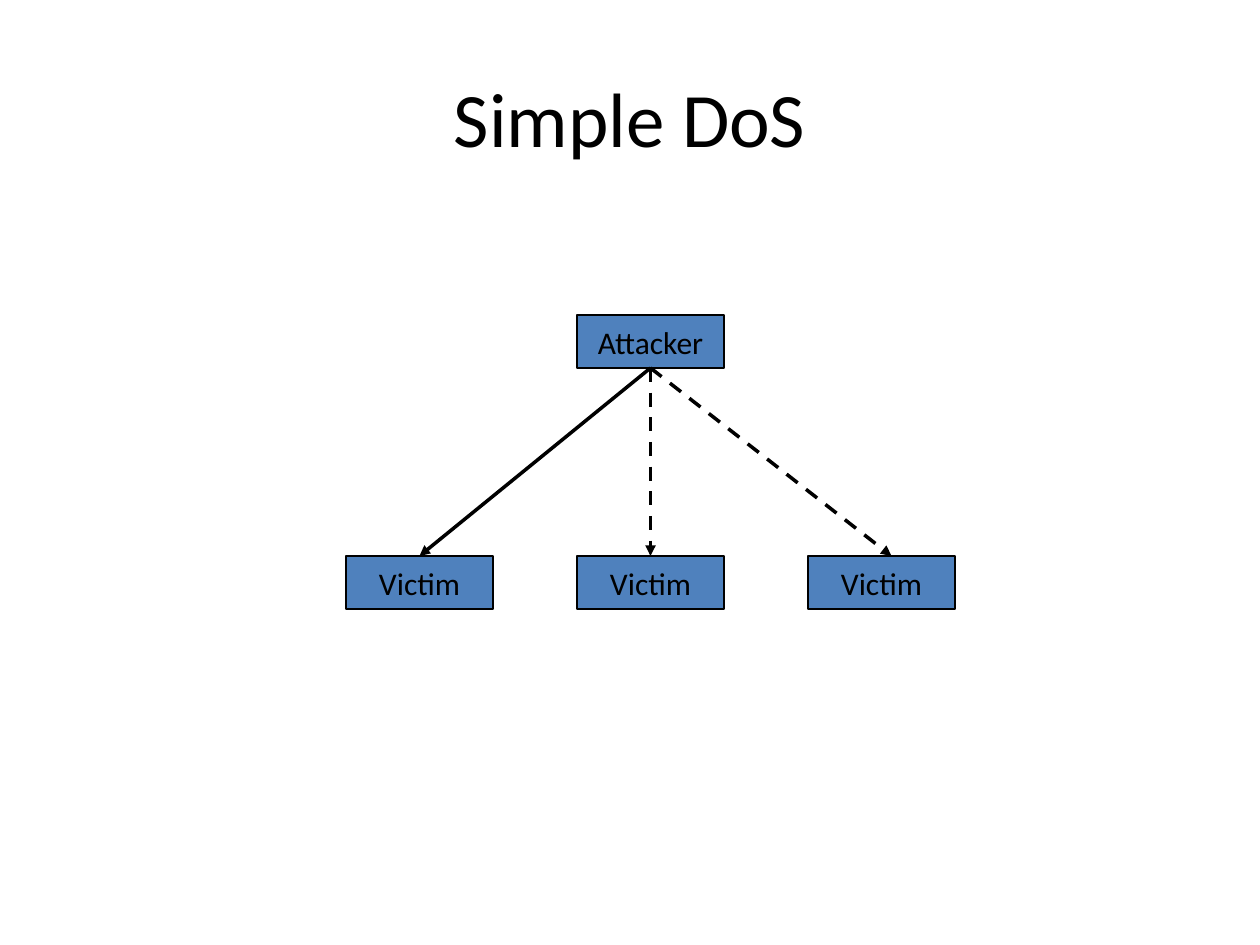
from dataclasses import dataclass

from pptx import Presentation
from pptx.dml.color import RGBColor
from pptx.enum.dml import MSO_LINE
from pptx.enum.shapes import MSO_CONNECTOR, MSO_SHAPE
from pptx.enum.text import MSO_ANCHOR, PP_ALIGN
from pptx.oxml.ns import qn
from pptx.shapes.autoshape import Shape
from pptx.slide import Slide
from pptx.util import Emu, Pt
from lxml import etree

PX_PER_INCH = 126
BLACK = RGBColor(0x00, 0x00, 0x00)
BLUE = RGBColor(0x4F, 0x81, 0xBD)
FONT = "Calibri"
CENTER = PP_ALIGN.CENTER
MIDDLE = MSO_ANCHOR.MIDDLE
RECTANGLE = MSO_SHAPE.RECTANGLE
STRAIGHT = MSO_CONNECTOR.STRAIGHT
DASH = MSO_LINE.DASH
TOP, BOTTOM = 0, 2

HOST_WIDTH, HOST_HEIGHT = 147, 53
ATTACKER_LEFT, ATTACKER_TOP = 577, 315
VICTIM_TOP, VICTIM_STEP = 556, 231


@dataclass(frozen=True)
class Attack:
    column: int
    dashed: bool
    end_shift: int = 0


ATTACKS = (
    Attack(-1, dashed=False),
    Attack(0, dashed=True),
    Attack(1, dashed=True, end_shift=10),
)


def px(length: int) -> Emu:
    return Emu(round(length * 914400 / PX_PER_INCH))


def write_text(shape: Shape, text: str, *, size: int, wrap: bool) -> None:
    frame = shape.text_frame
    frame.word_wrap = wrap
    frame.vertical_anchor = MIDDLE
    paragraph = frame.paragraphs[0]
    paragraph.alignment = CENTER
    run = paragraph.add_run()
    run.text = text
    run.font.name = FONT
    run.font.size = Pt(size)
    run.font.color.rgb = BLACK


def add_host(slide: Slide, label: str, left: int, top: int) -> Shape:
    host = slide.shapes.add_shape(
        RECTANGLE, px(left), px(top), px(HOST_WIDTH), px(HOST_HEIGHT)
    )
    host.shadow.inherit = False
    host.fill.solid()
    host.fill.fore_color.rgb = BLUE
    host.line.color.rgb = BLACK
    host.line.width = Pt(0.75)
    write_text(host, label, size=18, wrap=False)
    return host


def add_attack(slide: Slide, attacker: Shape, victim: Shape, attack: Attack) -> None:
    arrow = slide.shapes.add_connector(
        STRAIGHT,
        attacker.left + attacker.width // 2,
        attacker.top + attacker.height,
        victim.left + victim.width // 2 + px(attack.end_shift),
        victim.top,
    )
    arrow.begin_connect(attacker, BOTTOM)
    if not attack.end_shift:
        arrow.end_connect(victim, TOP)
    arrow.line.color.rgb = BLACK
    arrow.line.width = Pt(2)
    if attack.dashed:
        arrow.line.dash_style = DASH
    properties = arrow.element.spPr
    etree.SubElement(properties.find(qn("a:ln")), qn("a:tailEnd"), type="triangle")
    etree.SubElement(properties, qn("a:effectLst"))


def main() -> None:
    presentation = Presentation()
    presentation.slide_width = px(1260)
    presentation.slide_height = px(945)
    slide = presentation.slides.add_slide(presentation.slide_layouts[5])

    title = slide.shapes.title
    title.left, title.top = px(63), px(38)
    title.width, title.height = px(1134), px(157)
    write_text(title, "Simple DoS", size=44, wrap=True)

    attacker = add_host(slide, "Attacker", ATTACKER_LEFT, ATTACKER_TOP)
    victims = [
        add_host(slide, "Victim", ATTACKER_LEFT + attack.column * VICTIM_STEP, VICTIM_TOP)
        for attack in ATTACKS
    ]
    for victim, attack in zip(victims, ATTACKS):
        add_attack(slide, attacker, victim, attack)

    presentation.save("out.pptx")


if __name__ == "__main__":
    main()
